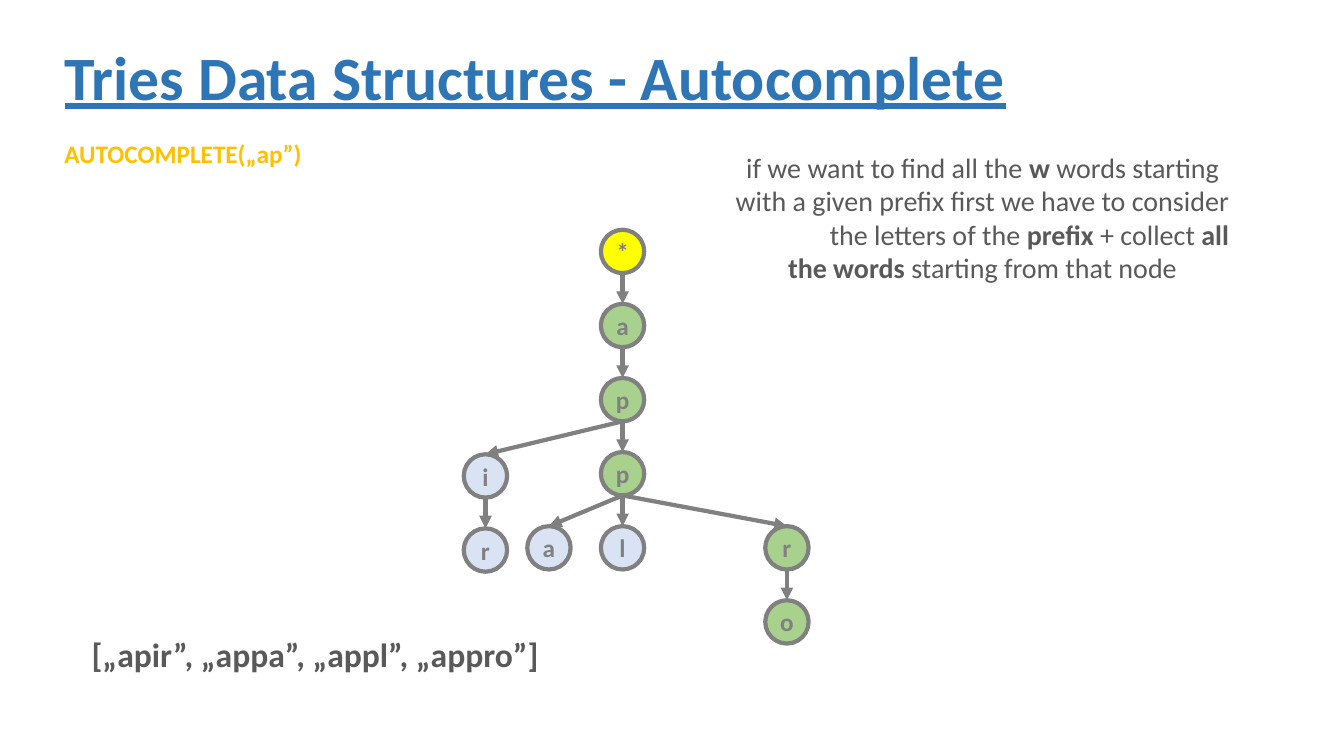
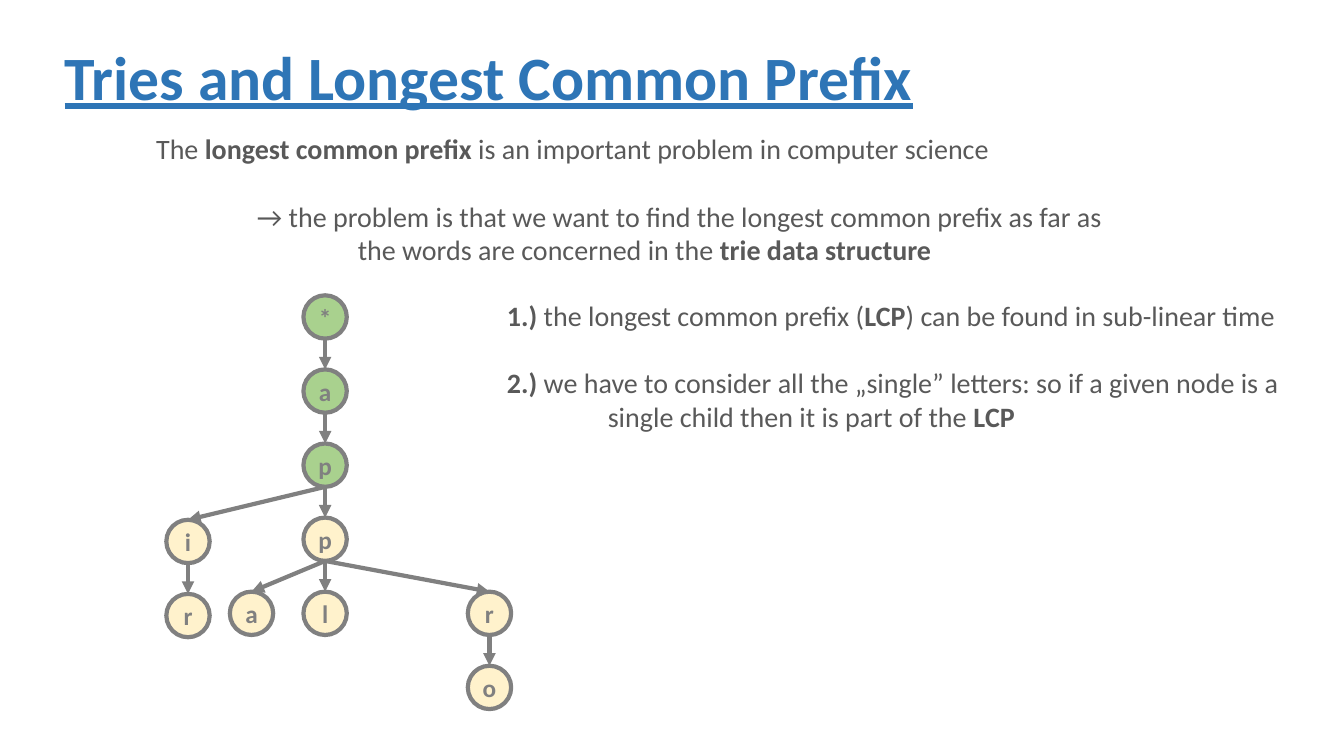
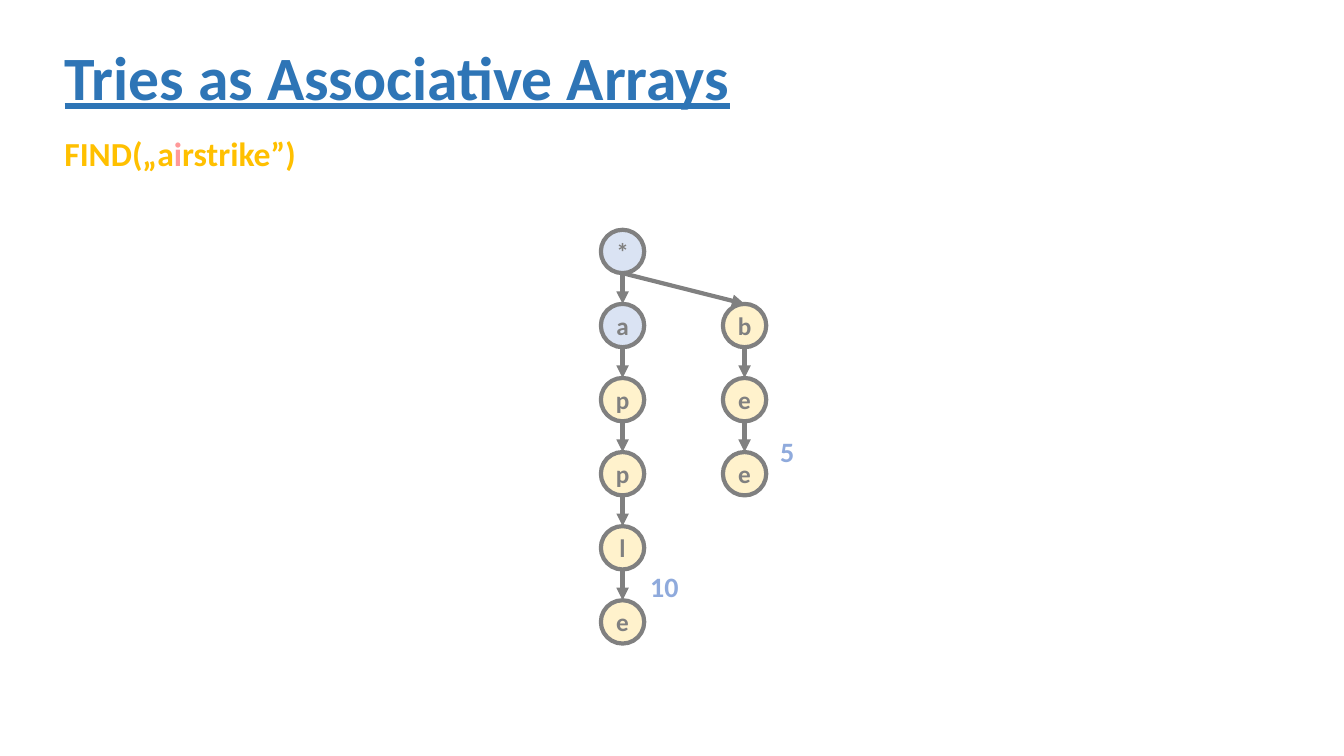
from pptx import Presentation
from pptx.dml.color import RGBColor
from pptx.enum.shapes import MSO_CONNECTOR as Conn, MSO_SHAPE as Shape
from pptx.enum.text import MSO_ANCHOR as Anchor, PP_ALIGN as Align
from pptx.util import Inches, Pt
from lxml.etree import SubElement
from pptx.oxml.ns import qn

# Shared style
FONT = "Calibri"
BLUE = RGBColor(0x2E, 0x75, 0xB6)
GOLD = RGBColor(0xFF, 0xC0, 0x00)
PINK = RGBColor(0xFF, 0x99, 0x99)
SKY = RGBColor(0x8F, 0xAA, 0xDC)
DARK = RGBColor(0x59, 0x59, 0x59)
GRAY = RGBColor(0x80, 0x80, 0x80)
FILLS = {
    "Y": RGBColor(0xFF, 0xFF, 0x00),
    "G": RGBColor(0xA9, 0xD1, 0x8E),
    "B": RGBColor(0xDA, 0xE3, 0xF3),
    "C": RGBColor(0xFF, 0xF2, 0xCC),
}
SIZE, STEP = 0.43, 0.735  # node diameter and row pitch

# Trees: letter, parent index, offset from the root, row
WORDS = [
    ("*", None, 0, 0), ("a", 0, 0, 1), ("p", 1, 0, 2), ("p", 2, 0, 3),
    ("l", 3, 0, 4), ("i", 2, -1.36, 3.03), ("r", 5, -1.36, 4.03),
    ("r", 3, 1.63, 4), ("o", 7, 1.63, 5), ("a", 3, -0.73, 4),
]
PAIRS = [
    ("*", None, 0, 0), ("a", 0, 0, 1), ("p", 1, 0, 2), ("p", 2, 0, 3),
    ("l", 3, 0, 4), ("e", 4, 0, 5),
    ("b", 0, 1.21, 1), ("e", 6, 1.21, 2), ("e", 7, 1.21, 3),
]

# Text: a paragraph is (indent, space before, runs); a run is (text, bold[, colour])
PREFIX = [
    (0, 0, [("if we want to find all the ", False), ("w ", True),
            ("words starting", False)]),
    (0, 0, [("with a given prefix first we have to consider", False)]),
    (0.93, 0, [("the letters of the ", False), ("prefix", True),
               (" + collect ", False), ("all", True)]),
    (0, 0, [("the words ", True), ("starting from that node", False)]),
]
PROBLEM = [
    (0, 0, [("The ", False), ("longest common prefix", True),
            (" is an important problem in computer science", False)]),
    (1, 24, [("→ the problem is that we want to find the longest common "
              "prefix as far as", False)]),
    (2, 0, [("the words are concerned in the", False),
            (" trie data structure", True)]),
]
RULES = [
    (0, 0, [("1.) ", True), ("the longest common prefix (", False),
            ("LCP", True), (") can be found in sub-linear time", False)]),
    (0, 24, [("2.) ", True), ("we have to consider all the „single” letters: "
                              "so if a given node is a", False)]),
    (1, 0, [("single child then it is part of the ", False), ("LCP", True)]),
]
FIND = [("FIND(„a", True), ("i", True, PINK), ("rstrike”)", True)]


def line(text):
    return [(0, 0, [(text, True)])]


# Slides: tree is (nodes, fill letters, root left, root top);
# a text is (box, size, colour, alignment, paragraphs)
SLIDES = [
    {"title": "Tries Data Structures - Autocomplete",
     "tree": (WORDS, "YGGGBBBGGB", 5.96, 2.28),
     "texts": [
         ((7.11, 1.44, 5.27, 2.12), 20, DARK, Align.CENTER, PREFIX),
         ((0.54, 1.32, 2.58, 0.4), 18, GOLD, Align.LEFT,
          line("AUTOCOMPLETE(„ap”)")),
         ((0.81, 6.24, 4.68, 0.5), 24, DARK, Align.LEFT,
          line("[„apir”, „appa”, „appl”, „appro”]"))]},
    {"title": "Tries and Longest Common Prefix",
     "tree": (WORDS, "GGGCCCCCCC", 3.01, 2.93),
     "texts": [
         ((1.45, 1.26, 9.69, 1.45), 20, DARK, Align.LEFT, PROBLEM),
         ((4.93, 2.91, 8, 1.45), 20, DARK, Align.LEFT, RULES)]},
    {"title": "Tries as Associative Arrays",
     "tree": (PAIRS, "BBCCCCCCC", 5.96, 2.28),
     "texts": [
         ((6.35, 5.6, 0.49, 0.44), 20, SKY, Align.LEFT, line("10")),
         ((7.64, 4.26, 0.34, 0.44), 20, SKY, Align.LEFT, line("5")),
         ((0.54, 1.27, 2.52, 0.5), 24, GOLD, Align.LEFT, [(0, 0, FIND)])]},
]


def add_run(para, text, size, color, bold=True):
    run = para.add_run()
    run.text = text
    font = run.font
    font.name, font.size, font.bold = FONT, Pt(size), bold
    font.color.rgb = color
    return run


def set_title(slide, text):
    title = slide.shapes.title
    title.left, title.top = Inches(0.54), Inches(0.07)
    title.width, title.height = Inches(11.5), Inches(1.45)
    frame = title.text_frame
    frame.vertical_anchor = Anchor.MIDDLE
    para = frame.paragraphs[0]
    para.alignment, para.line_spacing = Align.LEFT, 0.9
    add_run(para, text, 44, BLUE).font.underline = True


def add_text(slide, box, size, color, align, paras):
    frame = slide.shapes.add_textbox(*map(Inches, box)).text_frame
    frame.word_wrap = True
    for i, (indent, gap, runs) in enumerate(paras):
        para = frame.add_paragraph() if i else frame.paragraphs[0]
        para.alignment = align
        if indent:
            para._p.get_or_add_pPr().set("marL", str(Inches(indent)))
        if gap:
            para.space_before = Pt(gap)
        for text, bold, *tint in runs:
            add_run(para, text, size, tint[0] if tint else color, bold)


def add_node(slide, text, fill, left, top):
    node = slide.shapes.add_shape(
        Shape.OVAL, Inches(left), Inches(top), Inches(SIZE), Inches(SIZE))
    node.shadow.inherit = False
    node.fill.solid()
    node.fill.fore_color.rgb = fill
    node.line.color.rgb, node.line.width = GRAY, Pt(3)
    frame = node.text_frame
    frame.margin_left = frame.margin_right = 0
    frame.margin_top = frame.margin_bottom = 0
    frame.word_wrap = False
    frame.vertical_anchor = Anchor.MIDDLE
    frame.paragraphs[0].alignment = Align.CENTER
    add_run(frame.paragraphs[0], text, 18, GRAY)
    return node


def add_edge(slide, start, end):
    edge = slide.shapes.add_connector(
        Conn.STRAIGHT, start.left + start.width // 2, start.top + start.height,
        end.left + end.width // 2, end.top)
    edge.end_connect(end, 0)
    edge.line.color.rgb, edge.line.width = GRAY, Pt(3)
    SubElement(edge.line._get_or_add_ln(), qn("a:tailEnd"), type="triangle")
    SubElement(edge._element.spPr, qn("a:effectLst"))


def add_tree(slide, tree, fills, left, top):
    nodes = []
    for (text, parent, shift, row), fill in zip(tree, fills):
        node = add_node(slide, text, FILLS[fill], left + shift, top + row * STEP)
        nodes.append(node)
        if parent is not None:
            add_edge(slide, nodes[parent], node)


def main():
    deck = Presentation()
    deck.slide_width, deck.slide_height = Inches(13.33), Inches(7.5)
    for data in SLIDES:
        slide = deck.slides.add_slide(deck.slide_layouts[5])
        set_title(slide, data["title"])
        add_tree(slide, *data["tree"])
        for text in data["texts"]:
            add_text(slide, *text)
    deck.save("out.pptx")


if __name__ == "__main__":
    main()
